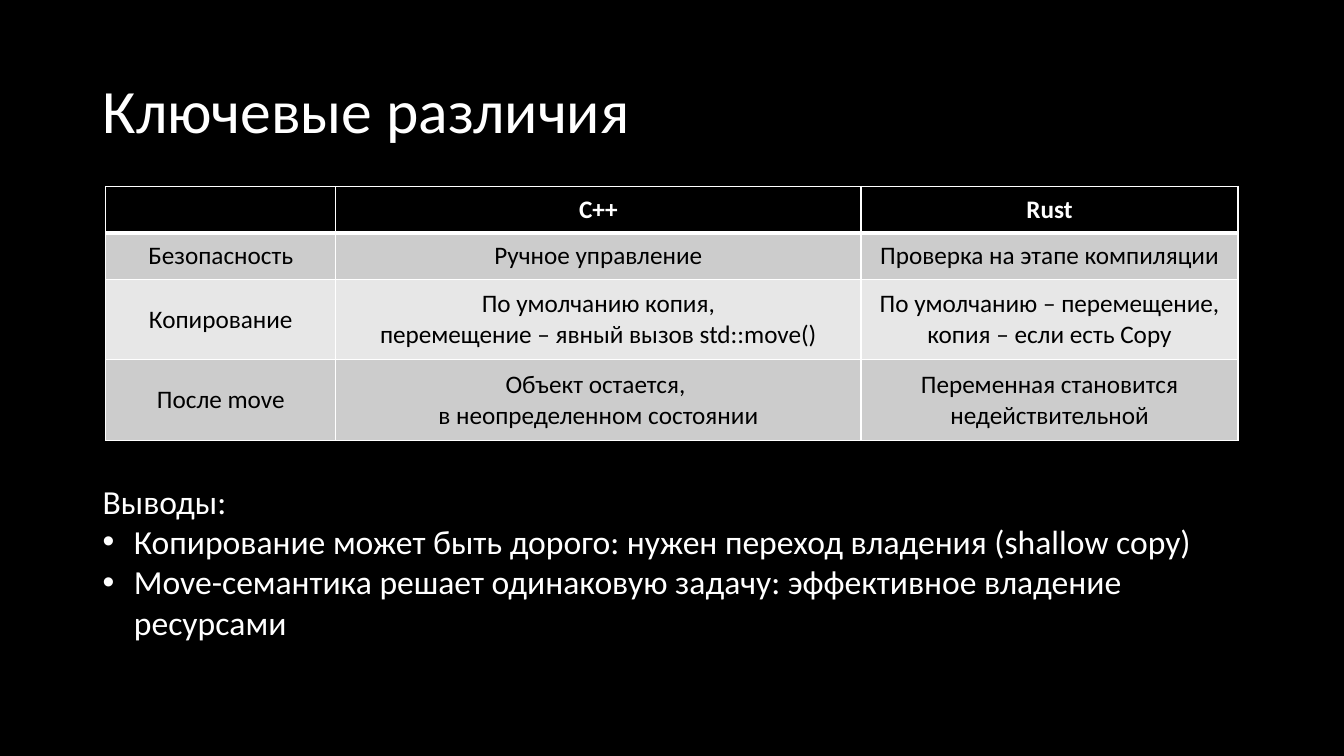
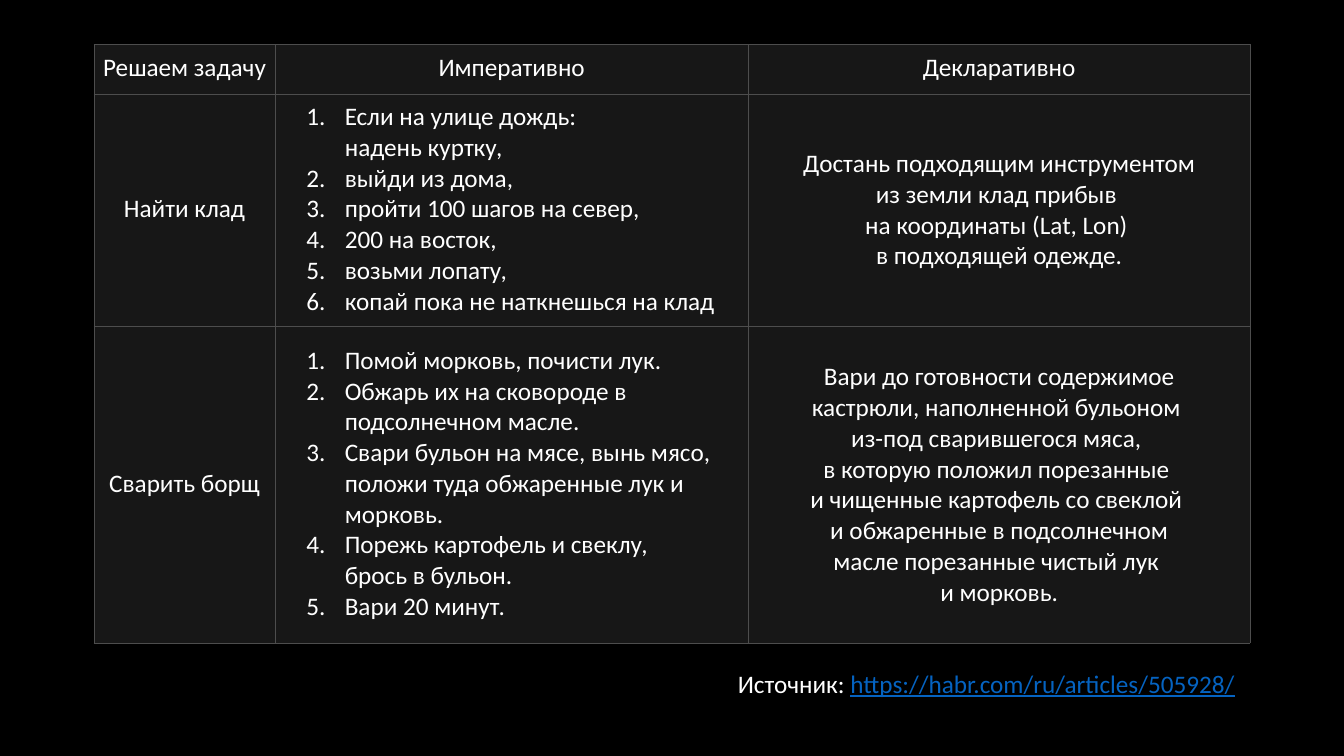
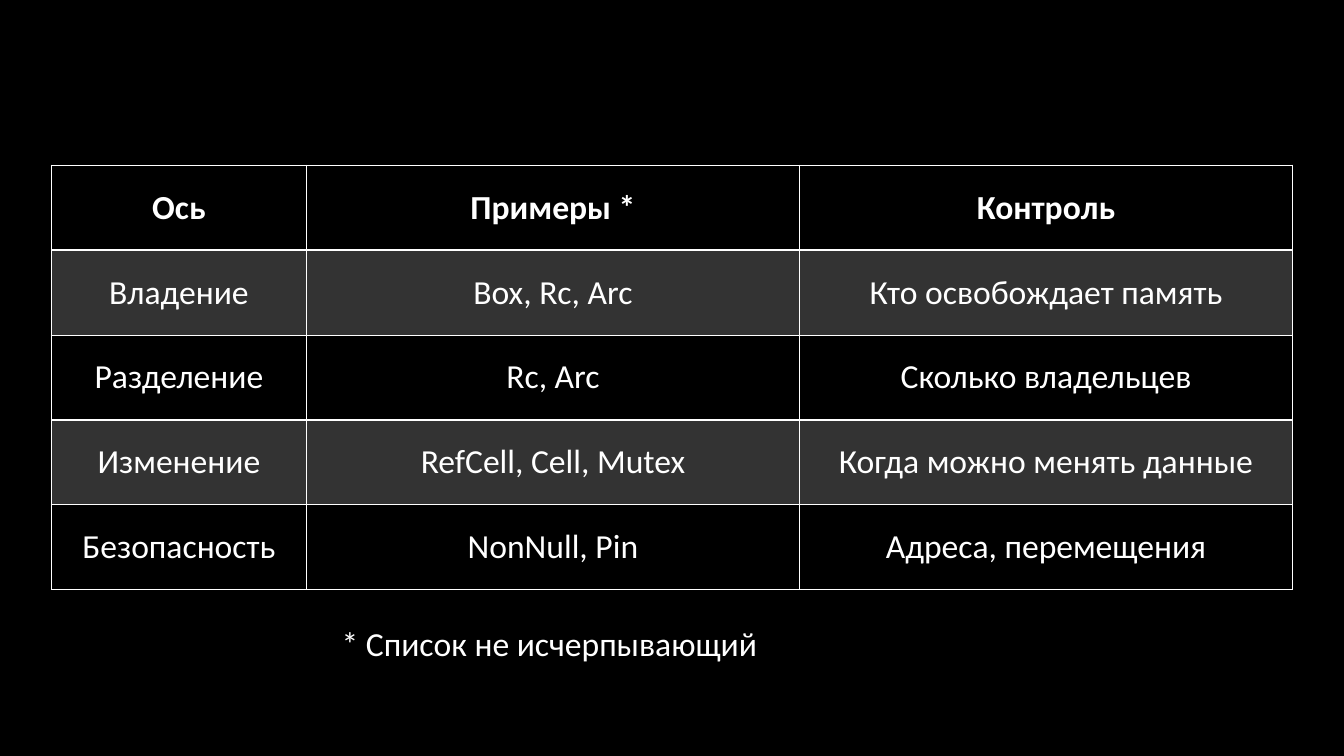
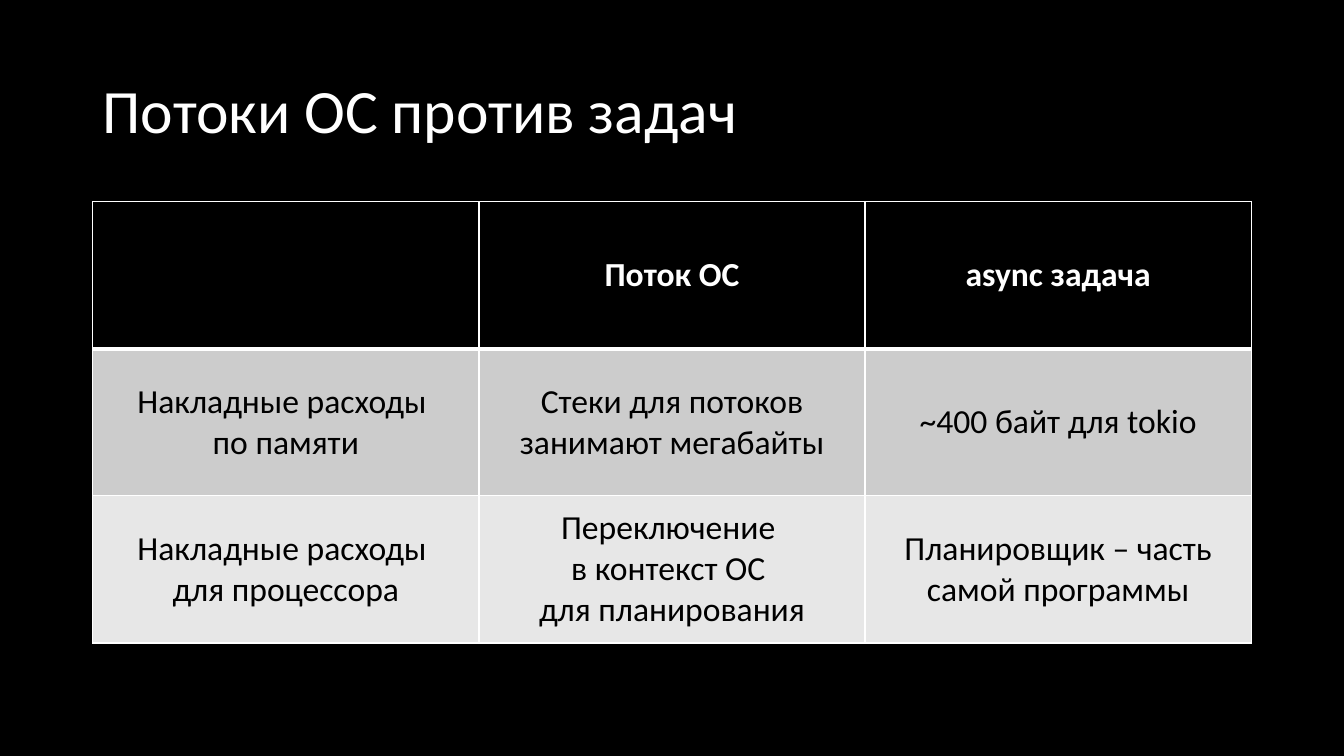
from lxml import etree
from pptx import Presentation
from pptx.dml.color import RGBColor
from pptx.enum.text import MSO_ANCHOR, PP_ALIGN
from pptx.oxml.ns import qn
from pptx.util import Pt

PX = 9144  # EMU in one px, 100 px to the inch
SLIDE_W, SLIDE_H = 1333, 750

FONT = "Calibri"
BLACK = RGBColor(0x00, 0x00, 0x00)
WHITE = RGBColor(0xFF, 0xFF, 0xFF)
BAND_DARK = RGBColor(0xCC, 0xCC, 0xCC)
BAND_LIGHT = RGBColor(0xE7, 0xE7, 0xE7)
BAND_GREY = RGBColor(0x33, 0x33, 0x33)
PANEL = RGBColor(0x17, 0x17, 0x17)
GRID = RGBColor(0x4D, 0x4D, 0x4D)
LINK = RGBColor(0x05, 0x63, 0xC1)

LEFT, CENTER, RIGHT = PP_ALIGN.LEFT, PP_ALIGN.CENTER, PP_ALIGN.RIGHT
TOP, MIDDLE = MSO_ANCHOR.TOP, MSO_ANCHOR.MIDDLE


def px(n):
    return int(n * PX)


def add_slide(prs):
    s = prs.slides.add_slide(prs.slide_layouts[6])
    s.background.fill.solid()
    s.background.fill.fore_color.rgb = BLACK
    return s


def add_bullet(p, hang, char=None):
    """Give the paragraph a bullet character, or a number if there is none."""
    pPr = p._p.get_or_add_pPr()
    pPr.set("marL", str(px(hang)))
    pPr.set("indent", str(-px(hang)))
    if char:
        etree.SubElement(pPr, qn("a:buFont"), typeface="Arial")
        etree.SubElement(pPr, qn("a:buChar"), char=char)
    else:
        etree.SubElement(pPr, qn("a:buFont"), typeface="+mj-lt")
        etree.SubElement(pPr, qn("a:buAutoNum"), type="arabicPeriod")


def write(p, text, size=18, color=WHITE, bold=False, underline=False,
          align=LEFT, spacing=None):
    """Append text to a paragraph; a newline becomes a line break."""
    p.alignment = align
    if spacing:
        p.line_spacing = spacing
    for i, line in enumerate(text.split("\n")):
        if i:
            p.add_line_break()
        r = p.add_run()
        r.text = line
        r.font.name = FONT
        r.font.size = Pt(size)
        r.font.color.rgb = color
        r.font.bold = bold
        r.font.underline = underline


def next_paragraph(tf, index):
    return tf.add_paragraph() if index else tf.paragraphs[0]


def add_box(s, x, y, w, h, anchor=TOP, wrap=True):
    tf = s.shapes.add_textbox(px(x), px(y), px(w), px(h)).text_frame
    tf.word_wrap = wrap
    tf.vertical_anchor = anchor
    return tf


def add_title(s, text):
    tf = add_box(s, 92, 40, 1150, 145, anchor=MIDDLE)
    write(tf.paragraphs[0], text, size=44, spacing=0.9)


def set_borders(cell, color, widths):
    """Draw the left, right, top and bottom edges, with widths in points."""
    tcPr = cell._tc.get_or_add_tcPr()
    for side, width in zip("LRTB", widths):
        ln = etree.SubElement(tcPr, qn(f"a:ln{side}"), w=str(int(Pt(width))))
        fill = etree.SubElement(ln, qn("a:solidFill"))
        etree.SubElement(fill, qn("a:srgbClr"), val=str(color))


def fill_cell(cell, content, **fmt):
    """Write a string as centred text, or a list as numbered steps."""
    cell.vertical_anchor = MIDDLE
    tf = cell.text_frame
    if isinstance(content, str):
        if content:
            write(tf.paragraphs[0], content, align=CENTER, **fmt)
        return
    for i, step in enumerate(content):
        p = next_paragraph(tf, i)
        add_bullet(p, 38)
        write(p, step, **fmt)


def add_table(s, x, y, cols, heights, rows, bands, size=18, color=WHITE,
              head_fill=BLACK, head_bold=True, line=WHITE, width=1, rule=1):
    """Add a table; bands are the body fills in turn, rule is the line under the head."""
    table = s.shapes.add_table(len(rows), len(cols), px(x), px(y),
                               px(sum(cols)), px(sum(heights))).table
    table.first_row = table.horz_banding = False
    for column, w in zip(table.columns, cols):
        column.width = px(w)
    for i, (h, row) in enumerate(zip(heights, rows)):
        table.rows[i].height = px(h)
        head = i == 0
        top = rule if i == 1 else width
        bottom = rule if head else width
        for j, content in enumerate(row):
            cell = table.cell(i, j)
            set_borders(cell, line, (width, width, top, bottom))
            cell.fill.solid()
            cell.fill.fore_color.rgb = head_fill if head else bands[(i - 1) % len(bands)]
            fill_cell(cell, content, size=size, color=WHITE if head else color,
                      bold=head and head_bold)
    return table


def set_margins(cell, left, top, right, bottom):
    cell.margin_left, cell.margin_top = px(left), px(top)
    cell.margin_right, cell.margin_bottom = px(right), px(bottom)


def differences_slide(prs):
    s = add_slide(prs)
    add_title(s, "Ключевые различия")
    rows = [
        ("", "С++", "Rust"),
        ("Безопасность", "Ручное управление", "Проверка на этапе компиляции"),
        ("Копирование", "По умолчанию копия,\nперемещение – явный вызов std::move()",
         "По умолчанию – перемещение, копия – если есть Copy"),
        ("После move", "Объект остается, \nв неопределенном состоянии",
         "Переменная становится недействительной"),
    ]
    add_table(s, 105, 185, (228, 521, 374), (46, 46, 80, 80), rows,
              (BAND_DARK, BAND_LIGHT), color=BLACK, rule=3)
    tf = add_box(s, 92, 472, 1129, 172)
    write(tf.paragraphs[0], "Выводы:", size=24)
    for text in (
        "Копирование может быть дорого: нужен переход владения (shallow copy)",
        "Move-семантика решает одинаковую задачу: эффективное владение ресурсами",
    ):
        p = tf.add_paragraph()
        add_bullet(p, 31, "•")
        write(p, text, size=24)


def paradigms_slide(prs):
    s = add_slide(prs)
    treasure_steps = [
        "Если на улице дождь:\nнадень куртку,",
        "выйди из дома,",
        "пройти 100 шагов на север,",
        "200 на восток,",
        "возьми лопату,",
        "копай пока не наткнешься на клад",
    ]
    soup_steps = [
        "Помой морковь, почисти лук.",
        "Обжарь их на сковороде в подсолнечном масле.",
        "Свари бульон на мясе, вынь мясо, положи туда обжаренные лук и морковь.",
        "Порежь картофель и свеклу, \nбрось в бульон.",
        "Вари 20 минут.",
    ]
    rows = [
        ("Решаем задачу", "Императивно", "Декларативно"),
        ("Найти клад", treasure_steps,
         "Достань подходящим инструментом из земли клад прибыв \n"
         "на координаты (Lat, Lon) \nв подходящей одежде."),
        ("Сварить борщ", soup_steps,
         "Вари до готовности содержимое кастрюли, наполненной бульоном \n"
         "из-под сварившегося мяса, \nв которую положил порезанные \n"
         "и чищенные картофель со свеклой \n"
         "и обжаренные в подсолнечном масле порезанные чистый лук \nи морковь."),
    ]
    table = add_table(s, 93, 44, (180, 469, 498), (49, 231, 314), rows, (PANEL,),
                      head_fill=PANEL, head_bold=False, line=GRID,
                      width=0.38, rule=0.38)
    label = (6, 3, 6, 5)
    body = (label, (31, 3, 6, 5), (51, 15, 51, 15))
    for i in range(len(rows)):
        for j, margins in enumerate(body):
            set_margins(table.cell(i, j), *(margins if i else label))

    p = add_box(s, 608, 658, 632, 40).paragraphs[0]
    write(p, "Источник: ", align=RIGHT)
    write(p, "https://habr.com/ru/articles/505928/", color=LINK, underline=True,
          align=RIGHT)
    write(p, " ", align=RIGHT)


def axes_slide(prs):
    s = add_slide(prs)
    rows = [
        ("Ось", "Примеры *", "Контроль"),
        ("Владение", "Box, Rc, Arc", "Кто освобождает память"),
        ("Разделение", "Rc, Arc", "Сколько владельцев"),
        ("Изменение", "RefCell, Cell, Mutex", "Когда можно менять данные"),
        ("Безопасность", "NonNull, Pin", "Адреса, перемещения"),
    ]
    add_table(s, 51, 164, (253, 489, 489), [84.25] * len(rows), rows,
              (BAND_GREY, BLACK), size=24, rule=2)
    tf = add_box(s, 329, 613, 437, 50, wrap=False)
    write(tf.paragraphs[0], "* Список не исчерпывающий", size=24)


def threads_slide(prs):
    s = add_slide(prs)
    add_title(s, "Потоки ОС против задач")
    rows = [
        ("", "Поток ОС", "async задача"),
        ("Накладные расходы \nпо памяти", "Стеки для потоков занимают мегабайты",
         "~400 байт для tokio"),
        ("Накладные расходы \nдля процессора",
         "Переключение \nв контекст ОС \nдля планирования",
         "Планировщик – часть самой программы"),
    ]
    add_table(s, 92, 200, [383] * 3, [146] * 3, rows, (BAND_DARK, BAND_LIGHT),
              size=24, color=BLACK, rule=3)


def main():
    prs = Presentation()
    prs.slide_width, prs.slide_height = px(SLIDE_W), px(SLIDE_H)
    differences_slide(prs)
    paradigms_slide(prs)
    axes_slide(prs)
    threads_slide(prs)
    prs.save("out.pptx")


if __name__ == "__main__":
    main()
